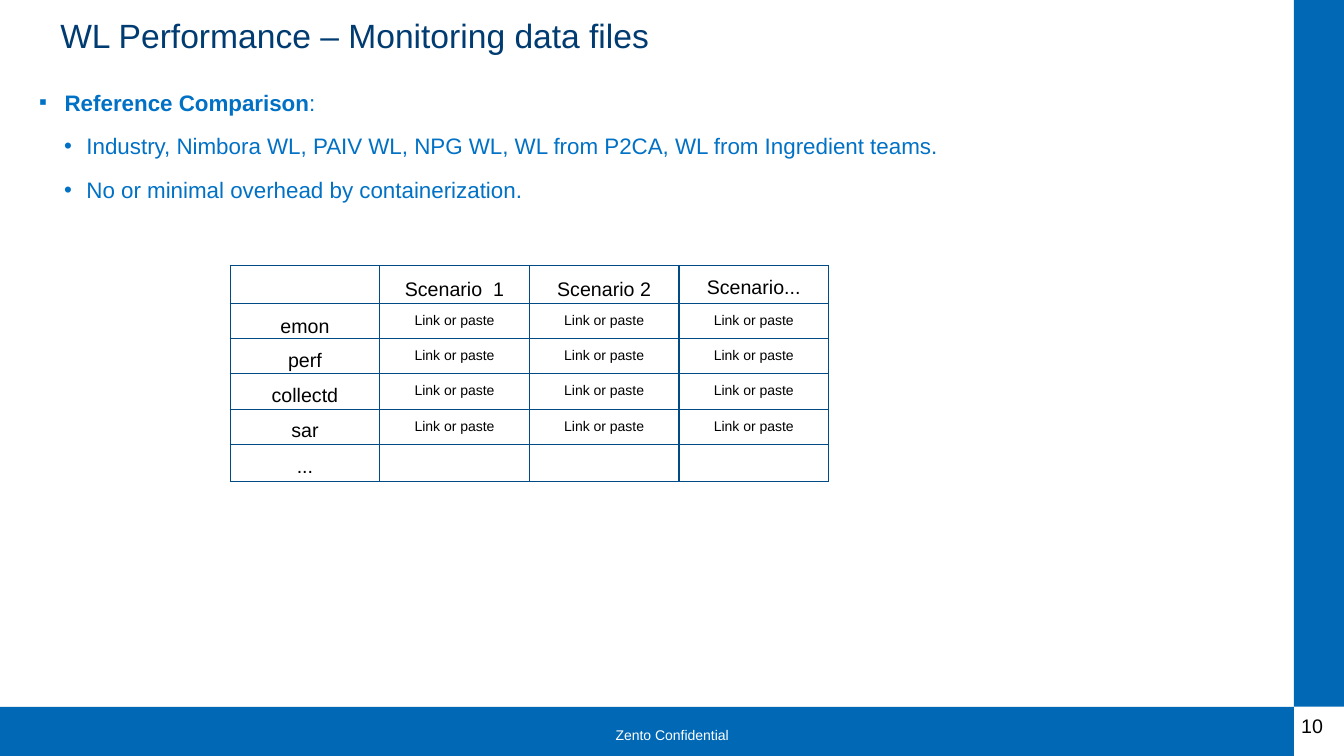
"""Build the workload monitoring data slide with its table of scenarios."""
import pptx
import pptx.dml.color
import pptx.enum.shapes
import pptx.enum.text
import pptx.oxml
import pptx.oxml.ns
import pptx.util

Cm = pptx.util.Cm
Pt = pptx.util.Pt
RGBColor = pptx.dml.color.RGBColor
PP_ALIGN = pptx.enum.text.PP_ALIGN
ANCHOR = pptx.enum.text.MSO_ANCHOR

BAR_BLUE = RGBColor(0x00, 0x68, 0xB5)
TITLE_NAVY = RGBColor(0x00, 0x3C, 0x71)
BODY_BLUE = RGBColor(0x00, 0x71, 0xC5)
BORDER_BLUE = RGBColor(0x00, 0x4A, 0x86)
BLACK = RGBColor(0x00, 0x00, 0x00)
WHITE = RGBColor(0xFF, 0xFF, 0xFF)
NSDECL = pptx.oxml.ns.nsdecls("a")


def write(paragraph, text, size=14, color=BLACK, bold=False, align=PP_ALIGN.LEFT,
          spacing=None, before=None):
    paragraph.alignment = align
    if spacing is not None:
        paragraph.line_spacing = spacing
    if before is not None:
        paragraph.space_before = Pt(before)
    run = paragraph.add_run()
    run.text = text
    run.font.name = "Arial"
    run.font.size = Pt(size)
    run.font.bold = bold
    run.font.color.rgb = color


class SlideBuilder:
    def __init__(self, slide):
        self.slide = slide

    def bar(self, left, top, width, height):
        bar = self.slide.shapes.add_shape(
            pptx.enum.shapes.MSO_SHAPE.RECTANGLE, Cm(left), Cm(top), Cm(width), Cm(height))
        bar.shadow.inherit = False
        bar.fill.solid()
        bar.fill.fore_color.rgb = BAR_BLUE
        bar.line.fill.background()

    def text_frame(self, left, top, width, height, inset=True):
        frame = self.slide.shapes.add_textbox(
            Cm(left), Cm(top), Cm(width), Cm(height)).text_frame
        frame.word_wrap = True
        if not inset:
            frame.margin_left = frame.margin_right = 0
            frame.margin_top = frame.margin_bottom = 0
        return frame

    def bullet(self, paragraph, symbol, indent, hanging, level):
        paragraph.level = level
        properties = paragraph._p.get_or_add_pPr()
        properties.set("marL", str(Cm(indent)))
        properties.set("indent", str(-Cm(hanging)))
        for markup in (f'<a:buFont {NSDECL} typeface="Arial"/>',
                       f'<a:buChar {NSDECL} char="{symbol}"/>'):
            properties.append(pptx.oxml.parse_xml(markup))

    def border(self, cell):
        properties = cell._tc.get_or_add_tcPr()
        for position, side in enumerate(("lnL", "lnR", "lnT", "lnB")):
            properties.insert(position, pptx.oxml.parse_xml(
                f'<a:{side} {NSDECL} w="{Pt(1)}"><a:solidFill>'
                f'<a:srgbClr val="{BORDER_BLUE}"/></a:solidFill></a:{side}>'))

    def table(self, left, top, widths, heights, rows):
        table = self.slide.shapes.add_table(
            len(rows), len(widths), Cm(left), Cm(top),
            Cm(sum(widths)), Cm(sum(heights))).table
        table.first_row = table.horz_banding = False
        for column, width in zip(table.columns, widths):
            column.width = Cm(width)
        for row, height in zip(table.rows, heights):
            row.height = Cm(height)
        for row_index, row in enumerate(rows):
            for column_index, text in enumerate(row):
                cell = table.cell(row_index, column_index)
                heading = row_index == 0 or column_index == 0
                top_anchored = (column_index == 0 and row_index > 1) or text == "Scenario..."
                cell.fill.background()
                cell.margin_left = cell.margin_right = 0
                cell.margin_top = cell.margin_bottom = 0
                cell.vertical_anchor = ANCHOR.TOP if top_anchored else ANCHOR.MIDDLE
                self.border(cell)
                if text:
                    write(cell.text_frame.paragraphs[0], text, size=14 if heading else 10,
                          align=PP_ALIGN.CENTER, spacing=1.5 if heading else 0.9)


def main():
    deck = pptx.Presentation()
    deck.slide_width, deck.slide_height = Cm(33.87), Cm(19.05)
    builder = SlideBuilder(deck.slides.add_slide(deck.slide_layouts[6]))

    builder.bar(0, 17.81, 32.61, 1.24)
    builder.bar(32.61, 0, 1.26, 17.81)
    footer = builder.text_frame(13.94, 18.24, 6, 0.64)
    write(footer.paragraphs[0], "Zento Confidential", size=10, color=WHITE,
          align=PP_ALIGN.CENTER, spacing=0.9)

    title = builder.text_frame(1.52, 0.5, 30.48, 1.12, inset=False)
    write(title.paragraphs[0], "WL Performance – Monitoring data files", size=24,
          color=TITLE_NAVY, spacing=0.9)

    body = builder.text_frame(0.99, 2.24, 29.97, 15.52, inset=False)
    comparison = body.paragraphs[0]
    write(comparison, "Reference Comparison", size=16, color=BODY_BLUE, bold=True)
    write(comparison, ":", size=16, color=BODY_BLUE)
    builder.bullet(comparison, "▪", 0.64, 0.64, 0)
    for point in ("Industry, Nimbora WL, PAIV WL, NPG WL, WL from P2CA, WL from Ingredient teams.",
                  "No or minimal overhead by containerization."):
        paragraph = body.add_paragraph()
        write(paragraph, point, size=16, color=BODY_BLUE, before=12)
        builder.bullet(paragraph, "•", 1.19, 0.56, 1)

    page_number = builder.text_frame(32.54, 17.93, 1.98, 0.89)
    write(page_number.paragraphs[0], "10", spacing=0.9)

    tools = ("emon", "perf", "collectd", "sar")
    rows = [("", "Scenario  1", "Scenario 2", "Scenario...")]
    rows += [(tool,) + ("Link or paste",) * 3 for tool in tools]
    rows.append(("...", "", "", ""))
    builder.table(5.8, 6.7, [3.77] * 4,
                  [0.94] + [0.88] * len(tools) + [0.93], rows)

    deck.save("out.pptx")


if __name__ == "__main__":
    main()
